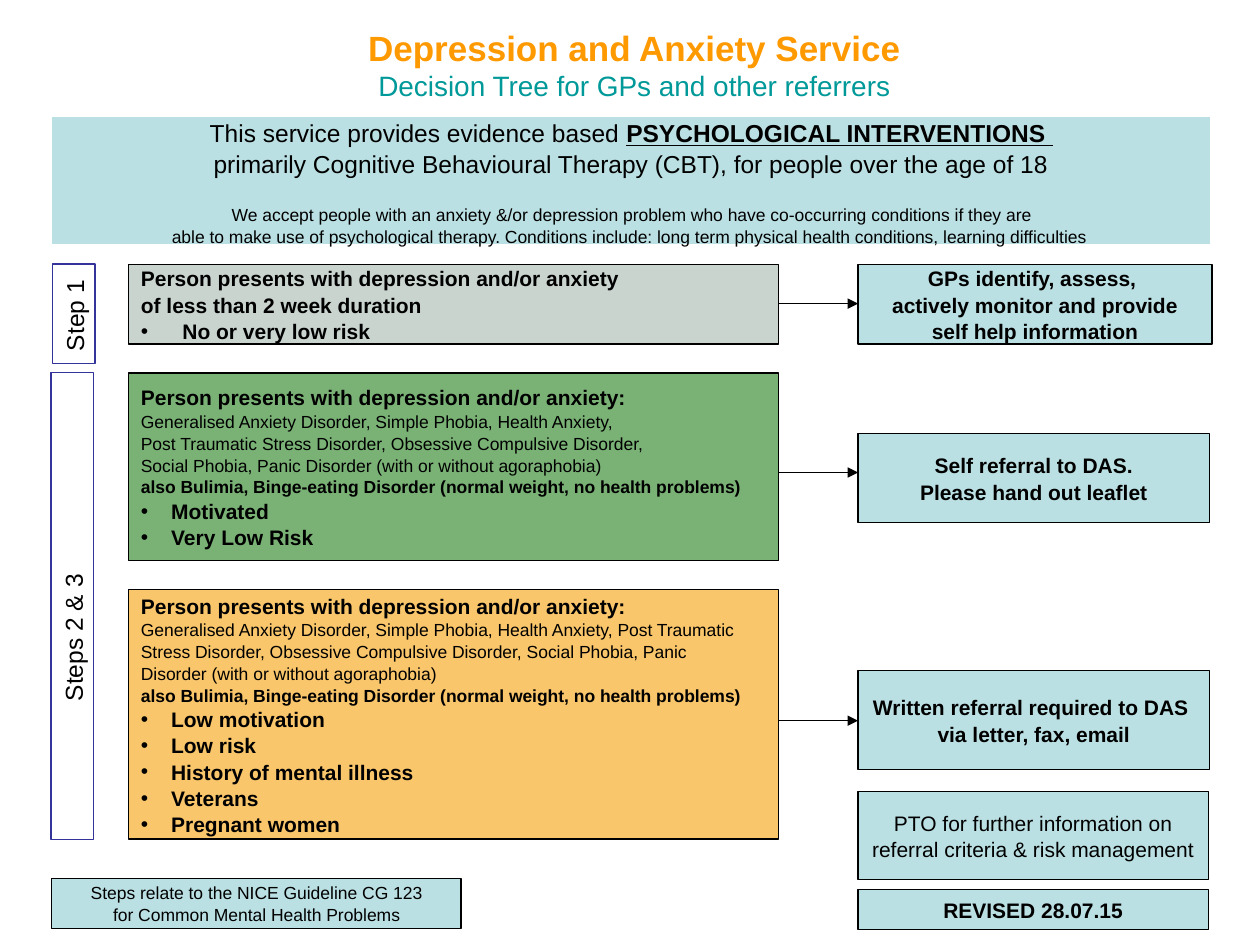
"""Build the Depression and Anxiety Service decision tree slide."""
from dataclasses import dataclass

from lxml import etree
from pptx import Presentation
from pptx.dml.color import RGBColor
from pptx.enum.shapes import MSO_CONNECTOR, MSO_SHAPE
from pptx.enum.text import MSO_ANCHOR, PP_ALIGN
from pptx.oxml.ns import qn
from pptx.util import Inches, Pt

RECTANGLE = MSO_SHAPE.RECTANGLE
STRAIGHT = MSO_CONNECTOR.STRAIGHT
LEFT, CENTER = PP_ALIGN.LEFT, PP_ALIGN.CENTER
TOP, MIDDLE = MSO_ANCHOR.TOP, MSO_ANCHOR.MIDDLE


@dataclass(frozen=True)
class Theme:
    font: str = "Arial"
    orange: str = "FF9900"
    teal: str = "009999"
    black: str = "000000"
    white: str = "FFFFFF"
    navy: str = "333399"
    pale_blue: str = "BBE0E3"
    grey: str = "CAD4CF"
    green: str = "7AB276"
    amber: str = "F9C66B"
    title: int = 20
    subtitle: int = 16
    lead: int = 14
    strong: int = 12
    small: int = 10
    line: float = 0.75
    spacing: float = 1.04


theme = Theme()


def style(span, size, color=theme.black, bold=False):
    span.font.name = theme.font
    span.font.size = Pt(size)
    span.font.bold = bold
    span.font.color.rgb = RGBColor.from_string(color)


def add_box(page, place, rows, fill=theme.pale_blue, line=theme.black, align=CENTER, anchor=MIDDLE):
    box = page.shapes.add_shape(RECTANGLE, *[Inches(value) for value in place])
    box.shadow.inherit = False
    box.line.color.rgb = RGBColor.from_string(line)
    box.line.width = Pt(theme.line)
    if fill:
        box.fill.solid()
        box.fill.fore_color.rgb = RGBColor.from_string(fill)
    else:
        box.fill.background()
    frame = box.text_frame
    frame.word_wrap = align == LEFT
    frame.vertical_anchor = anchor
    frame.text = "\n".join(row[0] for row in rows)
    for para, (text, size, bold, *indent) in zip(frame.paragraphs, rows):
        para.alignment = align
        para.line_spacing = theme.spacing
        if indent:
            properties = para._p.get_or_add_pPr()
            properties.set("marL", str(Inches(indent[0])))
            properties.set("indent", str(-Inches(indent[0])))
            etree.SubElement(properties, qn("a:buFont"), typeface=theme.font)
            etree.SubElement(properties, qn("a:buChar"), char="•")
        for span in para.runs:
            style(span, size, bold=bold)
    return box


deck = Presentation()
deck.slide_width, deck.slide_height = Inches(10), Inches(7.5)
page = deck.slides.add_slide(deck.slide_layouts[5])

title = page.shapes.title
title.left, title.top, title.width, title.height = [Inches(value) for value in (2.32, 0.13, 5.43, 0.76)]
title.text_frame.text = "Depression and Anxiety Service\vDecision Tree for GPs and other referrers"
title.text_frame.vertical_anchor = MIDDLE
heading = title.text_frame.paragraphs[0]
heading.alignment = CENTER
style(heading.runs[0], theme.title, theme.orange, True)
style(heading.runs[1], theme.subtitle, theme.teal)

banner = add_box(page, (0.41, 0.92, 9.2, 1.02), [
    ("This service provides evidence based ", theme.lead, False),
    ("primarily Cognitive Behavioural Therapy (CBT), for people over the age of 18", theme.lead, False),
    ("We accept people with an anxiety &/or depression problem who have co-occurring conditions if they are",
     theme.small, False),
    ("able to make use of psychological therapy. Conditions include: long term physical health conditions, "
     "learning difficulties ", theme.small, False),
], line=theme.white)
banner.text_frame.margin_top = Inches(0.08)
banner.text_frame.paragraphs[2].space_before = Pt(14.4)
emphasis = banner.text_frame.paragraphs[0].add_run()
emphasis.text = "PSYCHOLOGICAL INTERVENTIONS "
style(emphasis, theme.lead, bold=True)
emphasis.font.underline = True

presents = "Person presents with depression and/or anxiety"
also = "also Bulimia, Binge-eating Disorder (normal weight, no health problems)"
criteria = [
    (2.1, 0.63, theme.grey, [presents, "of less than 2 week duration"], [], ["No or very low risk"], 0.33),
    (2.96, 1.49, theme.green, [presents + ":"],
     ["Generalised Anxiety Disorder, Simple Phobia, Health Anxiety,",
      "Post Traumatic Stress Disorder, Obsessive Compulsive Disorder,",
      "Social Phobia, Panic Disorder (with or without agoraphobia)"],
     ["Motivated", "Very Low Risk"], 0.24),
    (4.68, 1.98, theme.amber, [presents + ":"],
     ["Generalised Anxiety Disorder, Simple Phobia, Health Anxiety, Post Traumatic",
      "Stress Disorder, Obsessive Compulsive Disorder, Social Phobia, Panic",
      "Disorder (with or without agoraphobia)"],
     ["Low motivation", "Low risk", "History of mental illness", "Veterans", "Pregnant women"], 0.24),
]
for top, height, fill, opening, disorders, bullets, indent in criteria:
    rows = [(text, theme.strong, True) for text in opening]
    if disorders:
        rows += [(text, theme.small, False) for text in disorders] + [(also, theme.small, True)]
    rows += [(text, theme.strong, True, indent) for text in bullets]
    add_box(page, (1.02, top, 5.16, height), rows, fill, align=LEFT)

actions = [
    (2.1, 2.81, 0.63, True, ["GPs identify, assess, ", "actively monitor and provide", "self help information"]),
    (3.44, 2.79, 0.71, True, ["Self referral to DAS.", "Please hand out leaflet"]),
    (5.32, 2.79, 0.79, True, ["Written referral required to DAS ", "via letter, fax, email"]),
    (6.28, 2.78, 0.7, False, ["PTO for further information on", "referral criteria & risk management"]),
    (7.06, 2.78, 0.32, True, ["REVISED 28.07.15"]),
]
for top, width, height, bold, texts in actions:
    add_box(page, (6.81, top, width, height), [(text, theme.strong, bold) for text in texts])

add_box(page, (0.41, 6.97, 3.25, 0.4), [
    ("Steps relate to the NICE Guideline CG 123", theme.small, False),
    ("for Common Mental Health Problems", theme.small, False),
])

for place, text, margin in [((0.19, 2.32, 0.79, 0.34), "Step 1", 0.1),
                            ((-1.28, 4.64, 3.71, 0.34), "Steps 2 & 3", 1.1)]:
    label = add_box(page, place, [(text, theme.lead, False)], None, theme.navy, LEFT, TOP)
    label.rotation = 270
    label.text_frame.margin_left = Inches(margin)

for height in (2.41, 3.75, 5.72):
    arrow = page.shapes.add_connector(STRAIGHT, Inches(6.18), Inches(height), Inches(6.81), Inches(height))
    arrow.line.color.rgb = RGBColor.from_string(theme.black)
    arrow.line.width = Pt(theme.line)
    etree.SubElement(arrow.line._get_or_add_ln(), qn("a:tailEnd"), type="triangle")
    etree.SubElement(arrow._element.spPr, qn("a:effectLst"))

deck.save("out.pptx")
